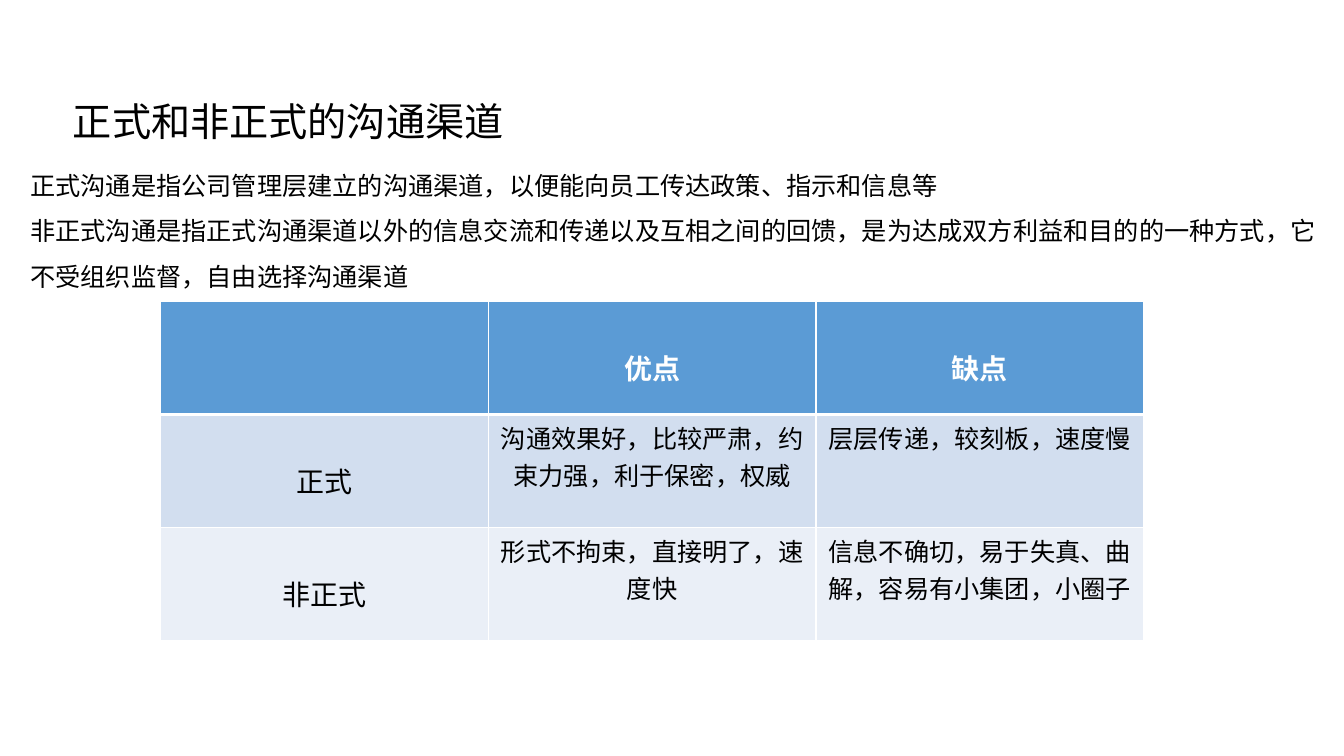
from lxml import etree
from pptx import Presentation
from pptx.dml.color import RGBColor
from pptx.enum import text
from pptx.oxml import ns
from pptx.util import Pt

# Content
TITLE = "正式和非正式的沟通渠道"
DEFINITIONS = [
    "正式沟通是指公司管理层建立的沟通渠道，以便能向员工传达政策、指示和信息等",
    "非正式沟通是指正式沟通渠道以外的信息交流和传递以及互相之间的回馈，"
    "是为达成双方利益和目的的一种方式，它不受组织监督，自由选择沟通渠道",
]
COMPARISON = [
    ["", "优点", "缺点"],
    ["正式", "沟通效果好，比较严肃，约束力强，利于保密，权威", "层层传递，较刻板，速度慢"],
    ["非正式", "形式不拘束，直接明了，速度快", "信息不确切，易于失真、曲解，容易有小集团，小圈子"],
]

# Look
FONT = "Noto Sans CJK SC"
COLOURS = {"text": "000000", "light": "FFFFFF"}
ROW_FILLS = ["5B9BD5", "D2DEEF", "EAEFF7"]
TITLE_AREA = (43.2, 49, 325.4, 52.6)
BODY_AREA = (14.4, 107.3, 946, 101.5)
TABLE_AREA = (114.8, 215.4, 702, 241.9)
LABEL_TOP, CELL_TOP = 32.6, 3.6
THIN, THICK = 1, 3


def colour(name):
    return RGBColor.from_string(COLOURS.get(name, name))


def place(shape, area):
    for side, value in zip(("left", "top", "width", "height"), area):
        setattr(shape, side, Pt(value))


def write(para, words, size, tint="text", bold=False, **layout):
    for name, value in layout.items():
        setattr(para, name, value)
    span = para.add_run()
    span.text = words
    for name, value in {"size": Pt(size), "bold": bold, "name": FONT}.items():
        setattr(span.font, name, value)
    span.font.color.rgb = colour(tint)
    east_asian = etree.SubElement(span.font._element, ns.qn("a:ea"))
    east_asian.set("typeface", FONT)


def set_frame(frame, wrap):
    frame.word_wrap = wrap
    frame.auto_size = text.MSO_AUTO_SIZE.SHAPE_TO_FIT_TEXT
    frame.vertical_anchor = text.MSO_ANCHOR.TOP


def add_borders(cell, widths):
    properties = cell._tc.get_or_add_tcPr()
    for side, width in widths.items():
        line = etree.SubElement(properties, ns.qn("a:ln" + side), w=str(Pt(width)))
        fill = etree.SubElement(line, ns.qn("a:solidFill"))
        etree.SubElement(fill, ns.qn("a:srgbClr"), val=COLOURS["light"])


def add_title(page):
    box = page.shapes.title
    place(box, TITLE_AREA)
    set_frame(box.text_frame, False)
    write(box.text_frame.paragraphs[0], TITLE, 28,
          alignment=text.PP_ALIGN.CENTER, line_spacing=1.5)


def add_definitions(page):
    box = page.placeholders[1]
    place(box, BODY_AREA)
    frame = box.text_frame
    set_frame(frame, True)
    for index, words in enumerate(DEFINITIONS):
        para = frame.add_paragraph() if index else frame.paragraphs[0]
        properties = para._p.get_or_add_pPr()
        properties.set("marL", "0")
        properties.set("indent", "0")
        etree.SubElement(properties, ns.qn("a:buNone"))
        write(para, words, 18, alignment=text.PP_ALIGN.LEFT,
              line_spacing=1.5, space_before=Pt(0))


def add_comparison(page):
    area = [Pt(value) for value in TABLE_AREA]
    table = page.shapes.add_table(len(COMPARISON), len(COMPARISON[0]), *area).table
    table.horz_banding = False
    for row, entries in enumerate(COMPARISON):
        for column, words in enumerate(entries):
            cell = table.cell(row, column)
            header = row == 0
            label = header or column == 0
            # The rule under the header row is heavier than the others
            add_borders(cell, {"L": THIN, "R": THIN,
                               "T": THICK if row == 1 else THIN,
                               "B": THICK if header else THIN})
            cell.fill.solid()
            cell.fill.fore_color.rgb = colour(ROW_FILLS[row])
            cell.margin_top = Pt(LABEL_TOP if label else CELL_TOP)
            if words:
                write(cell.text_frame.paragraphs[0], words, 20 if label else 18,
                      "light" if header else "text", header,
                      alignment=text.PP_ALIGN.CENTER)


def main():
    deck = Presentation()
    deck.slide_width, deck.slide_height = Pt(960), Pt(540)
    page = deck.slides.add_slide(deck.slide_layouts[1])
    add_title(page)
    add_definitions(page)
    add_comparison(page)
    deck.save("out.pptx")


if __name__ == "__main__":
    main()
